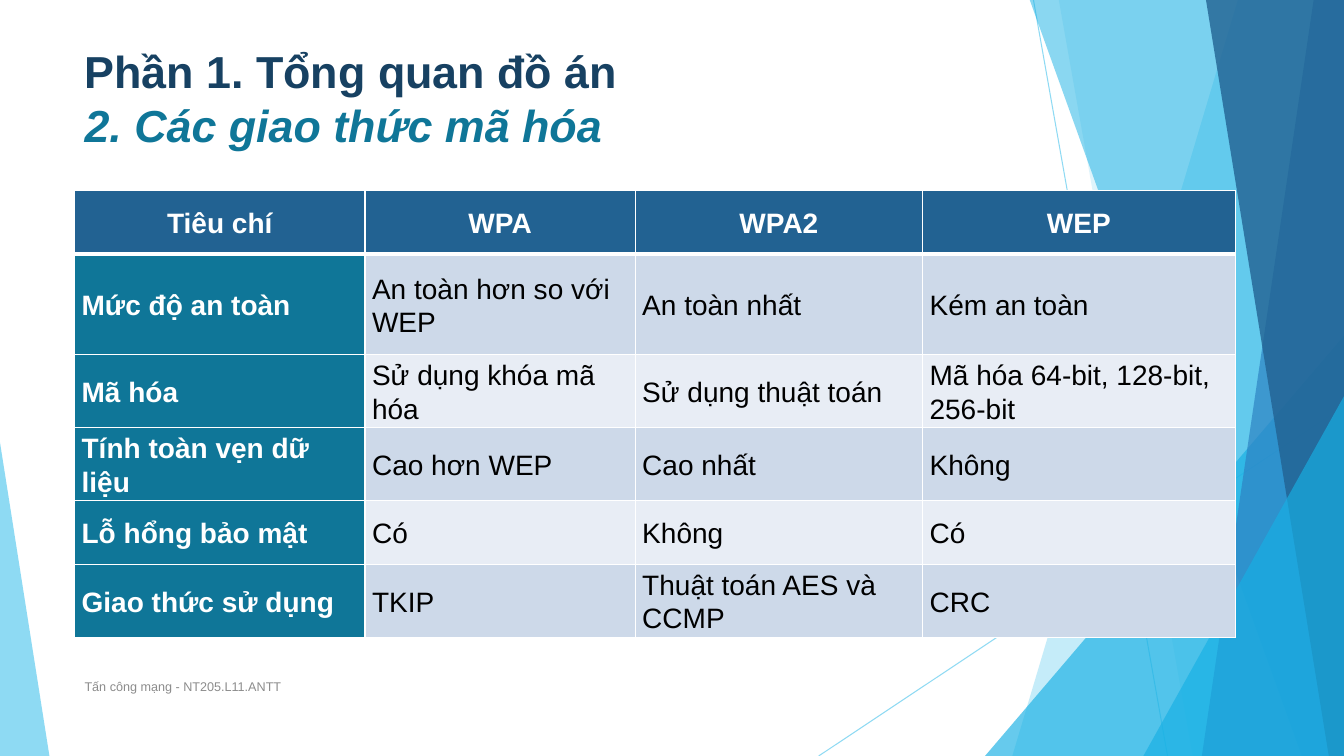
from lxml import etree
from pptx import Presentation
from pptx.dml.color import RGBColor
from pptx.enum.shapes import MSO_CONNECTOR, MSO_SHAPE
from pptx.enum.text import MSO_ANCHOR, PP_ALIGN
from pptx.oxml.ns import qn
from pptx.util import Pt

LINE, TRI = MSO_CONNECTOR.STRAIGHT, MSO_SHAPE.RIGHT_TRIANGLE
TRI = MSO_SHAPE.ISOSCELES_TRIANGLE
MID = MSO_ANCHOR.MIDDLE
LEFT, CENTER = PP_ALIGN.LEFT, PP_ALIGN.CENTER
PX = 9144

THEME = {
    "font": "Arial",
    "sky": "5FCBEF", "cyan": "17B0E4", "blue": "2E83C3", "deep": "226292",
    "navy": "174162", "teal": "0F7698", "gray": "8C8C8C",
    "white": "FFFFFF", "black": "000000", "bands": ("CDD9E9", "E8EDF5"),
    "title": 32, "body": 20, "foot": 9,
}

TITLE = ("Phần 1. Tổng quan đồ án", "2. Các giao thức mã hóa")
FOOT = "Tấn công mạng - NT205.L11.ANTT"
ROWS = [
    ("Tiêu chí", "WPA", "WPA2", "WEP"),
    ("Mức độ an toàn", "An toàn hơn so với WEP", "An toàn nhất", "Kém an toàn"),
    ("Mã hóa", "Sử dụng khóa mã hóa", "Sử dụng thuật toán",
     "Mã hóa 64-bit, 128-bit, 256-bit"),
    ("Tính toàn vẹn dữ liệu", "Cao hơn WEP", "Cao nhất", "Không"),
    ("Lỗ hổng bảo mật", "Có", "Không", "Có"),
    ("Giao thức sử dụng", "TKIP", "Thuật toán AES và CCMP", "CRC"),
]
WIDTHS = (288, 268, 285, 310)
HEIGHTS = (63, 100, 63, 63, 63, 63)

WIDE, HIGH = 1333, 750
RAYS = [(1025, 0, 1158, HIGH), (WIDE, 403, 812, HIGH)]
SHARDS = [
    ("band", (1228, 1004), "sky", 36),
    ("band", (1050, 1183), "sky", 20),
    ("tri", (977, 333, 356, 417, 1), "cyan", 66),
    ("band", (1021, 1291), "cyan", 50),
    ("band", (1303, 1192), "blue", 70),
    ("band", (1196, 1318), "deep", 80),
    ("tri", (1134, 393, 199, 357, 1), "cyan", 66),
    ("tri", (0, 439, 49, 311, 0), "sky", 70),
]


def emu(*nums):
    return [n * PX for n in nums]


def rgb(name):
    return RGBColor.from_string(THEME.get(name, name))


def fade(fill, pct):
    color = fill._xPr.find(qn("a:solidFill"))[0]
    etree.SubElement(color, qn("a:alpha"), val=str(pct * 1000))


def write(para, text, size="body", color="black", bold=False, ital=False,
          align=LEFT, lead=None):
    para.alignment = align
    if lead:
        para.line_spacing = lead
    run = para.add_run()
    run.text = text
    font = run.font
    font.name, font.size = THEME["font"], Pt(THEME[size])
    font.bold, font.italic = bold, ital
    font.color.rgb = rgb(color)


def box(slide, *rect):
    frame = slide.shapes.add_textbox(*emu(*rect)).text_frame
    frame.word_wrap = True
    frame.vertical_anchor = MID
    return frame.paragraphs[0]


def draw_ray(slide, ends):
    ray = slide.shapes.add_connector(LINE, *emu(*ends))
    ray.line.width = Pt(0.75)
    ray.line.color.rgb = rgb("sky")
    fade(ray.line.fill, 70)
    etree.SubElement(ray._element.spPr, qn("a:effectLst"))


def draw_shard(slide, kind, geo, color, pct):
    if kind == "tri":
        shard = slide.shapes.add_shape(TRI, *emu(*geo[:4]))
        shard.adjustments[0] = geo[4]
    else:
        top, low = geo
        path = slide.shapes.build_freeform(top, -1, scale=PX)
        path.add_line_segments([(WIDE, -1), (WIDE, HIGH), (low, HIGH)])
        shard = path.convert_to_shape()
    shard.shadow.inherit = False
    shard.line.fill.background()
    shard.fill.solid()
    shard.fill.fore_color.rgb = rgb(color)
    fade(shard.fill, pct)


def edge(cell, side, width):
    line = etree.SubElement(cell._tc.get_or_add_tcPr(), qn("a:ln" + side),
                            w=str(Pt(width)))
    fill = etree.SubElement(line, qn("a:solidFill"))
    etree.SubElement(fill, qn("a:srgbClr"), val=THEME["white"])


def draw_table(slide):
    rect = emu(74, 189, sum(WIDTHS), sum(HEIGHTS))
    table = slide.shapes.add_table(len(ROWS), len(WIDTHS), *rect).table
    for col, wide in zip(table.columns, WIDTHS):
        col.width = wide * PX
    for r, (row, high) in enumerate(zip(ROWS, HEIGHTS)):
        table.rows[r].height = high * PX
        for c, text in enumerate(row):
            cell = table.cell(r, c)
            head, key = r == 0, r == 0 or c == 0
            tint = "deep" if head else "teal" if key else THEME["bands"][(r - 1) % 2]
            for side in "LRTB":
                thick = (r, side) in ((0, "B"), (1, "T"))
                edge(cell, side, 3 if thick else 1)
            cell.fill.solid()
            cell.fill.fore_color.rgb = rgb(tint)
            cell.vertical_anchor = MID
            cell.margin_left = cell.margin_right = 7 * PX
            cell.margin_top, cell.margin_bottom = PX, 0
            write(cell.text_frame.paragraphs[0], text, bold=key,
                  color="white" if key else "black",
                  align=CENTER if head else LEFT, lead=1.07)


def main():
    deck = Presentation()
    deck.slide_width, deck.slide_height = emu(WIDE, HIGH)
    slide = deck.slides.add_slide(deck.slide_layouts[6])
    for ends in RAYS:
        draw_ray(slide, ends)
    for shard in SHARDS:
        draw_shard(slide, *shard)
    para = box(slide, 74, 33, 1119, 127)
    write(para, TITLE[0], size="title", color="navy", bold=True)
    para.add_line_break()
    write(para, TITLE[1], size="title", color="teal", bold=True, ital=True)
    write(box(slide, 74, 661, 689, 40), FOOT, size="foot", color="gray")
    draw_table(slide)
    deck.save("out.pptx")


if __name__ == "__main__":
    main()
